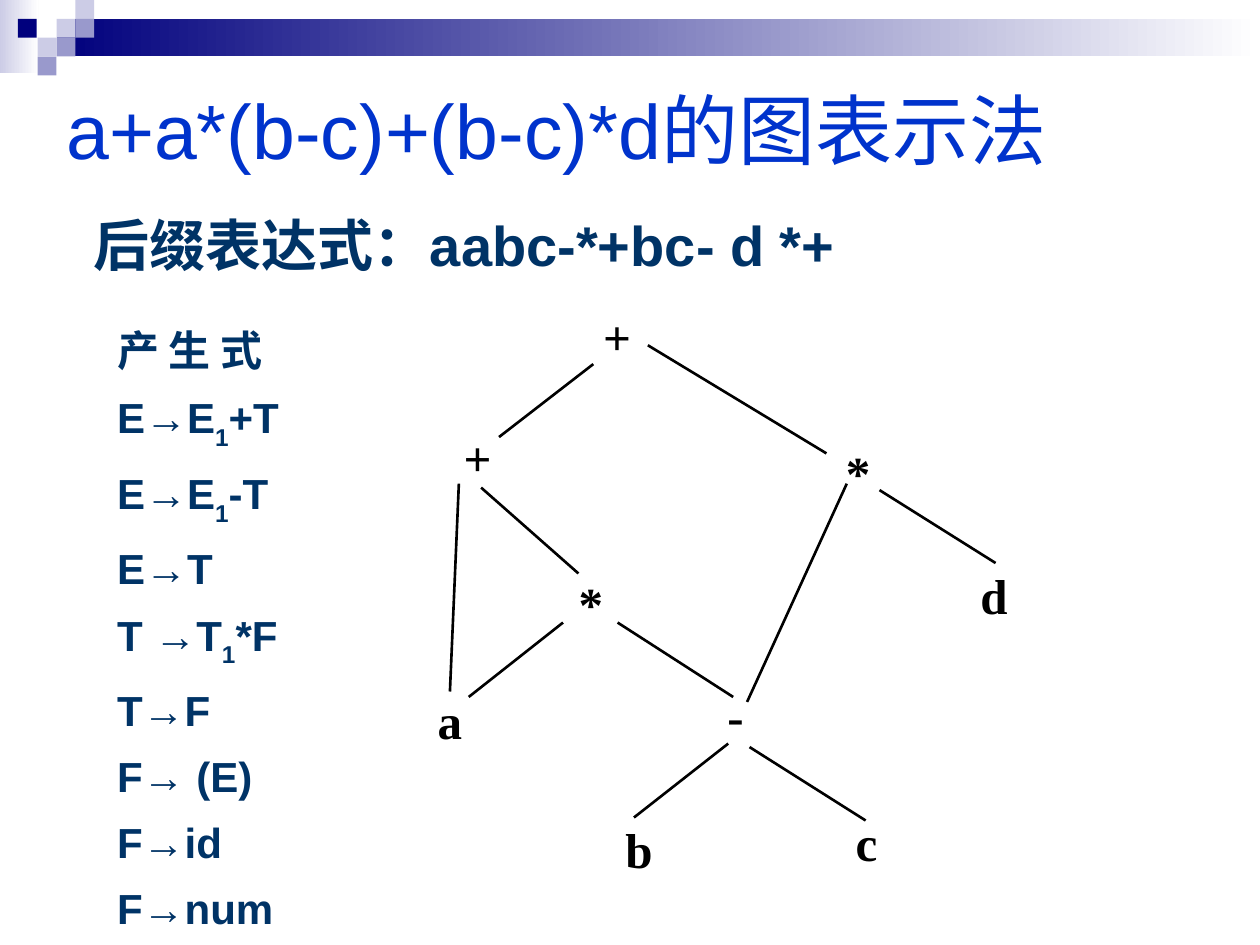
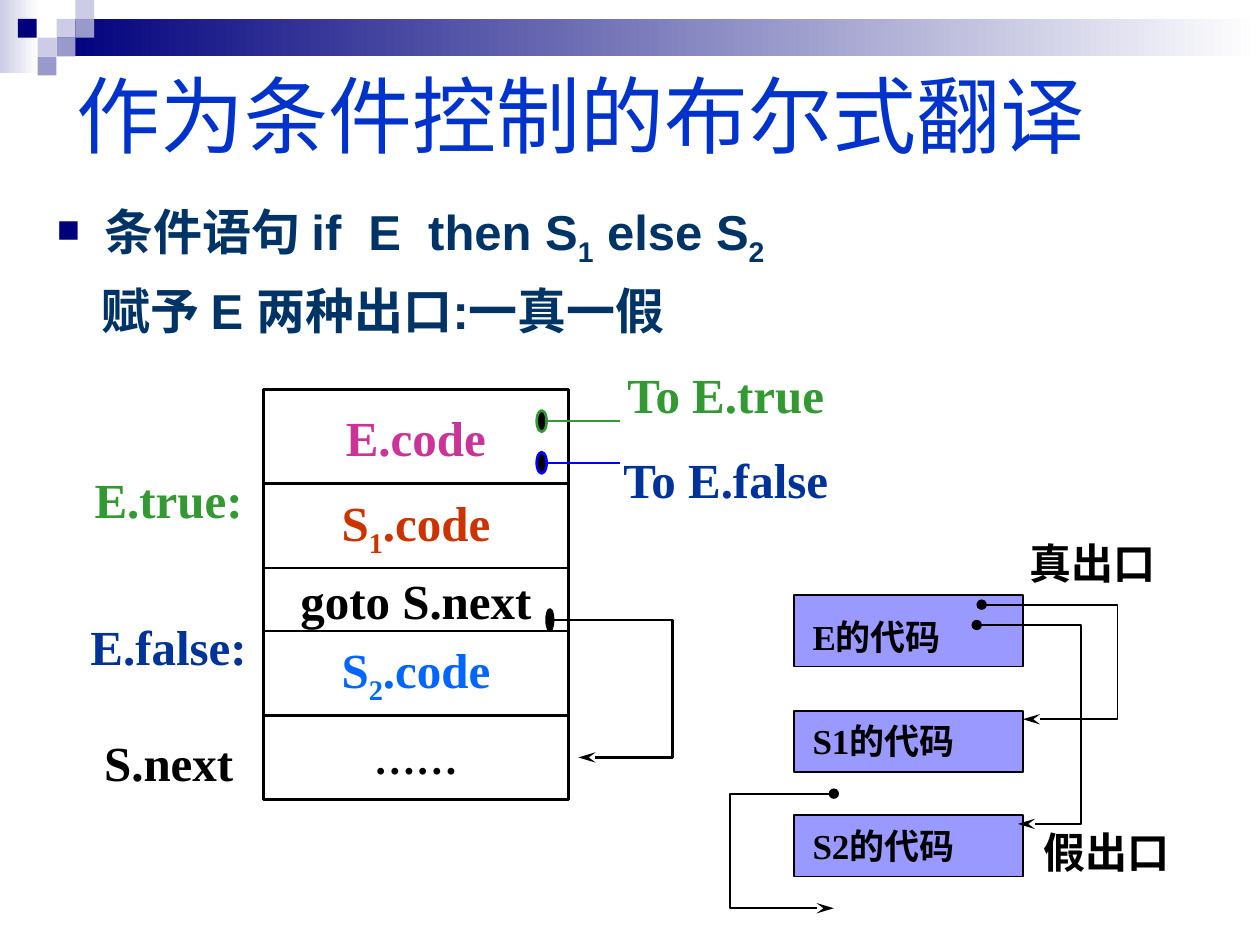
from pptx import Presentation
from pptx.dml.color import RGBColor
from pptx.enum.shapes import MSO_CONNECTOR, MSO_SHAPE
from pptx.enum.text import MSO_ANCHOR as ANCHOR, PP_ALIGN as ALIGN
from pptx.oxml.ns import qn
from pptx.util import Cm, Pt
from lxml.etree import SubElement

BLACK = RGBColor(0, 0, 0)
WHITE = RGBColor(255, 255, 255)
NAVY = RGBColor(0x00, 0x00, 0x7D)
LILAC = RGBColor(0xCC, 0xCC, 0xE6)
MAUVE = RGBColor(0x99, 0x99, 0xCC)
PERIWINKLE = RGBColor(0x99, 0x99, 0xFF)
TITLE_BLUE = RGBColor(0x00, 0x33, 0xCC)
INK = RGBColor(0x00, 0x33, 0x66)
GREEN = RGBColor(0x33, 0x99, 0x33)
FALSE_BLUE = RGBColor(0x00, 0x33, 0x99)
PURE_BLUE = RGBColor(0x00, 0x00, 0xFF)
PINK = RGBColor(0xCC, 0x33, 0x99)
RUST = RGBColor(0xCC, 0x33, 0x00)
SKY = RGBColor(0x00, 0x66, 0xFF)

CJK = "Noto Sans CJK SC"
SANS = {"name": "Arial", "bold": True, "color": INK}
SERIF = {"name": "Times New Roman", "bold": True, "color": BLACK, "size": 28}

GRADIENTS = [((0, 0, 0.78, 1.48), LILAC), ((1.14, 0.38, 24.26, 0.76), NAVY)]
TILE = 0.38
TILES = [
    (1.14, 0.38, LILAC), (1.52, 0, LILAC), (1.52, 0.38, MAUVE),
    (0.76, 0.76, LILAC), (0.36, 0.38, NAVY), (1.14, 0.76, MAUVE),
    (0.76, 1.14, MAUVE),
]

POSTFIX = "后缀表达式：aabc-*+bc- d *+"
PRODUCTIONS_HEAD = "产 生 式"
PRODUCTIONS = ["E→E|1|+T", "E→E|1|-T", "E→T", "T →T|1|*F", "T→F",
               "F→ (E)", "F→id", "F→num"]
NODE_SIZE = (2.74, 1.7)
NODES = [
    ("+", 11.07, 5.92), ("+", 8.26, 8.36), ("*", 15.93, 8.66),
    ("*", 10.54, 11.3), ("d", 18.67, 11.15), ("a", 7.7, 13.67),
    ("-", 13.46, 13.56), ("b", 11.51, 16.26), ("c", 16.1, 16.13),
]
EDGES = [
    (11.96, 7.34, 10.06, 8.81), (13.06, 6.96, 16.66, 9.14),
    (9.25, 9.75, 9.07, 13.94), (9.7, 9.83, 11.66, 11.56),
    (17.07, 9.75, 15.06, 14.15), (17.73, 9.88, 20.07, 11.35),
    (11.35, 12.55, 9.45, 14.05), (12.45, 12.55, 14.78, 14.05),
    (14.68, 14.99, 12.78, 16.48), (15.11, 15.06, 17.45, 16.54),
]

CONDITION = "条件语句 if  E  then S|1| else S|2"
EXITS = "赋予 E 两种出口:一真一假"
STACK_LEFT, STACK_TOP, STACK_WIDTH = 5.31, 7.85, 6.15
STACK = [
    ("E.code", 1.9, PINK, 28), ("S|1|.code", 1.7, RUST, 28),
    ("goto S.next", 1.27, BLACK, 28), ("S|2|.code", 1.7, SKY, 28),
    ("……", 1.7, BLACK, 24),
]
LABEL_SIZE = (5, 1.47)
LABELS = [
    ("To E.true", 12.13, 7.21, GREEN), ("To E.false", 12.13, 8.92, FALSE_BLUE),
    ("E.true:", 0.9, 9.32, GREEN), ("E.false:", 0.9, 12.29, FALSE_BLUE),
    ("S.next", 0.9, 14.63, BLACK),
]
DOT_HEIGHT = 0.43
PORTS = [(8.49, GREEN), (9.33, PURE_BLUE)]
GOTO_PATH = [(11.15, 12.5), (13.56, 12.5), (13.56, 15.27), (11.66, 15.27)]
CODE_BOXES = [("E的代码", 11.99, 1.45, 0.41), ("S1的代码", 14.33, 1.24, 0.18),
              ("S2的代码", 16.43, 1.24, 0.2)]
JUMPS = [
    [(19.79, 12.19), (22.53, 12.19), (22.53, 14.5), (20.62, 14.5)],
    [(19.69, 12.6), (21.79, 12.6), (21.79, 16.61), (20.52, 16.61)],
    [(16.81, 16), (14.71, 16), (14.71, 18.31), (16.81, 18.31)],
]
EXIT_LABELS = [("真出口", 20.5, 10.72), ("假出口", 20.78, 16.54)]


def cm(values):
    return [Cm(v) for v in values]


def set_font(r, style, baseline):
    for key, value in style.items():
        if key == "color":
            r.font.color.rgb = value
        else:
            setattr(r.font, key, Pt(value) if key == "size" else value)
    rPr = r.font._element
    SubElement(rPr, qn("a:ea")).set("typeface", CJK)
    if baseline:
        rPr.set("baseline", str(baseline * 1000))


def write(p, text, style, sub=-25, **layout):
    for key, value in layout.items():
        setattr(p, key, value)
    for i, part in enumerate(text.split("|")):
        if part:
            r = p.add_run()
            r.text = part
            set_font(r, style, sub if i % 2 else 0)


def set_frame(sp, wrap=True, anchor=ANCHOR.TOP, **margins):
    tf = sp.text_frame
    tf.word_wrap = wrap
    tf.vertical_anchor = anchor
    for side, value in margins.items():
        setattr(tf, "margin_" + side, Cm(value))
    return tf


def add_text(s, at, text, style, align=ALIGN.LEFT, **frame):
    tf = set_frame(s.shapes.add_textbox(*cm(at)), **frame)
    write(tf.paragraphs[0], text, style, alignment=align)
    return tf


def add_centred(s, at, text, style):
    add_text(s, at, text, style, ALIGN.CENTER, wrap=False, anchor=ANCHOR.MIDDLE)


def style_shape(sp, fill=None, line=None, width=1.5):
    sp.shadow.inherit = False
    if fill is None:
        sp.fill.background()
    else:
        sp.fill.solid()
        sp.fill.fore_color.rgb = fill
    if line is None:
        sp.line.fill.background()
    else:
        sp.line.color.rgb = line
        sp.line.width = Pt(width)
    return sp


def add_box(s, at, fill=None, line=None, width=1.5, kind=MSO_SHAPE.RECTANGLE):
    return style_shape(s.shapes.add_shape(kind, *cm(at)), fill, line, width)


def add_dot(s, left, mid, width, line):
    at = (left, mid - DOT_HEIGHT / 2, width, DOT_HEIGHT)
    add_box(s, at, BLACK, line, kind=MSO_SHAPE.OVAL)


def add_line(s, ends, color):
    c = s.shapes.add_connector(MSO_CONNECTOR.STRAIGHT, *cm(ends))
    c.line.color.rgb = color
    c.line.width = Pt(1.5)
    SubElement(c._element.spPr, qn("a:effectLst"))


def add_arrow(s, points, width, **ends):
    start, *rest = [cm(pt) for pt in points]
    fb = s.shapes.build_freeform(*start)
    fb.add_line_segments(rest, close=False)
    sp = style_shape(fb.convert_to_shape(), line=BLACK, width=width)
    ln = sp.line._get_or_add_ln()
    for end, kind in ends.items():
        head = SubElement(ln, qn("a:" + end))
        head.set("type", kind)
        if kind == "stealth":
            head.set("len", "lg")


def set_indent(p, left, first):
    pPr = p._p.get_or_add_pPr()
    pPr.set("marL", str(Cm(left)))
    pPr.set("indent", str(Cm(first)))
    return pPr


def add_bullet(p):
    pPr = set_indent(p, 0.97, -0.97)
    color = SubElement(pPr, qn("a:buClr"))
    SubElement(color, qn("a:srgbClr")).set("val", str(NAVY))
    SubElement(pPr, qn("a:buSzPct")).set("val", "65000")
    SubElement(pPr, qn("a:buChar")).set("char", "■")


def new_slide(prs, title, at, size):
    s = prs.slides.add_slide(prs.slide_layouts[6])
    for box, color in GRADIENTS:
        sp = add_box(s, box, color)
        sp.fill.gradient()
        sp.fill.gradient_angle = 0
        for stop, shade in zip(sp.fill.gradient_stops, (color, WHITE)):
            stop.color.rgb = shade
    for left, top, color in TILES:
        add_box(s, (left, top, TILE, TILE), color)
    style = {"name": "Arial", "size": size, "color": TITLE_BLUE}
    add_text(s, at, title, style, anchor=ANCHOR.MIDDLE)
    return s


def graph_slide(prs):
    s = new_slide(prs, "a+a*(b-c)+(b-c)*d的图表示法", (1.09, 1.27, 23.04, 2.67), 44)
    add_text(s, (1.5, 4.11, 15.72, 1.63), POSTFIX, SANS | {"size": 32},
             ALIGN.CENTER, wrap=False)
    style = SANS | {"size": 24}
    tf = add_text(s, (2.11, 6.32, 5.21, 10.8), PRODUCTIONS_HEAD,
                  style | {"name": CJK})
    tf.paragraphs[0].line_spacing = 1.1
    for rule in PRODUCTIONS:
        write(tf.add_paragraph(), rule, style, sub=-30,
              line_spacing=1.1, space_before=Pt(6))
    for label, left, top in NODES:
        add_centred(s, (left, top, *NODE_SIZE), label, SERIF)
    for ends in EDGES:
        add_line(s, ends, BLACK)


def boolean_slide(prs):
    s = new_slide(prs, "作为条件控制的布尔式翻译", (1.3, 0.71, 22.02, 3.18), 48)
    style = SANS | {"size": 28}
    tf = set_frame(s.shapes.add_textbox(*cm((0.89, 3.94, 21.97, 3.61))))
    add_bullet(tf.paragraphs[0])
    write(tf.paragraphs[0], CONDITION, style)
    p = tf.add_paragraph()
    set_indent(p, 0.91, 0)
    write(p, EXITS, style, space_before=Pt(7))

    top = STACK_TOP
    for text, height, color, size in STACK:
        sp = add_box(s, (STACK_LEFT, top, STACK_WIDTH, height), line=BLACK)
        tf = set_frame(sp, wrap=False, anchor=ANCHOR.MIDDLE)
        write(tf.paragraphs[0], text, SERIF | {"color": color, "size": size},
              alignment=ALIGN.CENTER)
        top += height
    for text, left, top, color in LABELS:
        add_centred(s, (left, top, *LABEL_SIZE), text, SERIF | {"color": color})
    for mid, color in PORTS:
        add_line(s, (11.02, mid, 12.5, mid), color)
        add_dot(s, 10.82, mid, 0.2, color)
    add_arrow(s, GOTO_PATH, 1.5, tailEnd="stealth")
    add_dot(s, 11.02, 12.5, 0.13, BLACK)

    for text, top, height, inset in CODE_BOXES:
        sp = add_box(s, (16, top, 4.62, height), PERIWINKLE, BLACK, 1)
        tf = set_frame(sp, left=0.38, top=inset, bottom=0)
        write(tf.paragraphs[0], text, SERIF | {"size": 20}, alignment=ALIGN.LEFT)
    for points in JUMPS:
        add_arrow(s, points, 1, headEnd="oval", tailEnd="stealth")
    for text, left, top in EXIT_LABELS:
        add_text(s, (left, top, 3.9, 1.27), text, SERIF | {"size": 24})


def main():
    prs = Presentation()
    prs.slide_width, prs.slide_height = Cm(25.4), Cm(19.05)
    graph_slide(prs)
    boolean_slide(prs)
    prs.save("out.pptx")


if __name__ == "__main__":
    main()
